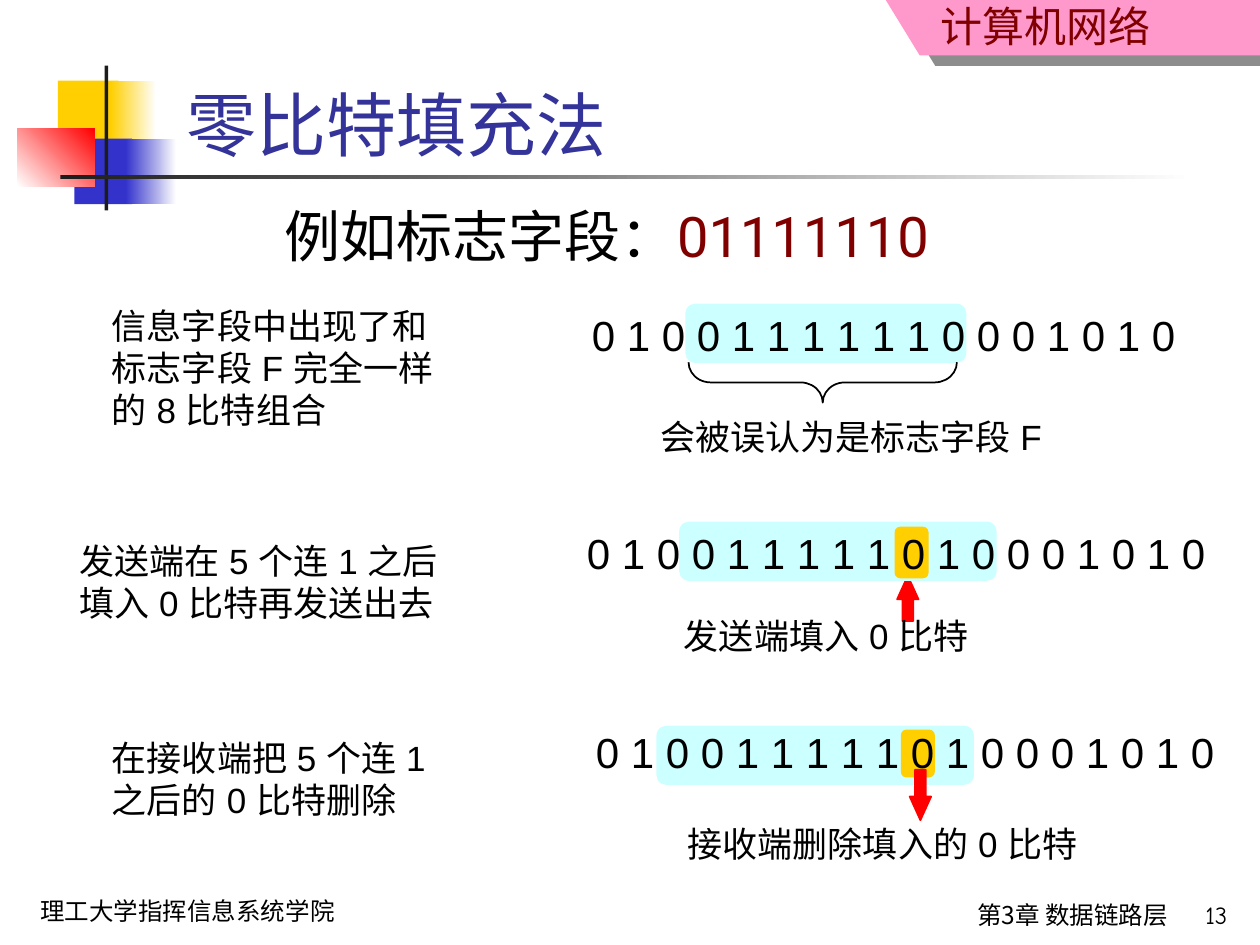
from dataclasses import dataclass

from lxml import etree
from pptx import Presentation
from pptx.dml.color import RGBColor
from pptx.enum.shapes import MSO_SHAPE
from pptx.enum.text import MSO_ANCHOR, MSO_AUTO_SIZE, PP_ALIGN
from pptx.oxml.ns import qn
from pptx.util import Pt

PX = 9144  # 100 px to the inch
RECT, ROUND = MSO_SHAPE.RECTANGLE, MSO_SHAPE.ROUNDED_RECTANGLE
UP, DOWN, BRACE = MSO_SHAPE.UP_ARROW, MSO_SHAPE.DOWN_ARROW, MSO_SHAPE.LEFT_BRACE
LEFT, RIGHT = PP_ALIGN.LEFT, PP_ALIGN.RIGHT


@dataclass(frozen=True)
class Theme:
    black: str = "000000"
    white: str = "FFFFFF"
    dark: str = "1C1C1C"
    title: str = "333399"
    maroon: str = "800000"
    pink: str = "FF99CC"
    gold: str = "FFCF01"
    blue: str = "3333CC"
    red: str = "FF0000"
    cyan: str = "CCFFFF"
    sans: str = "Arial"
    head: str = "Roboto"
    hand: str = "Comic Neue"
    han: str = "Noto Sans CJK SC"
    title_size: int = 40
    lead_size: int = 32
    bit_size: int = 24
    note_size: int = 20
    foot_size: int = 14


T = Theme()


def rgb(code):
    return RGBColor.from_string(code)


def emu(*box):
    return [v * PX for v in box]


def style(run, font, size, color):
    run.font.name, run.font.size = font, Pt(size)
    run.font.color.rgb = rgb(color)
    east = etree.SubElement(run.font._element, qn("a:ea"))
    east.set("typeface", font)


def write(shape, text, font, size, colors, align=LEFT, wrap=True):
    """Fill a shape with text: one paragraph a line, or one run a colour."""
    frame = shape.text_frame
    frame.word_wrap = wrap
    frame.auto_size = MSO_AUTO_SIZE.NONE
    frame.vertical_anchor = MSO_ANCHOR.TOP
    if isinstance(text, str):
        frame.text = text
    else:
        for part in text:
            frame.paragraphs[0].add_run().text = part
    for para in frame.paragraphs:
        para.alignment = align
        para.line_spacing = Pt(size * 1.2)
        for run, color in zip(para.runs, colors):
            style(run, font, size, color)


def label(slide, box, text, font, size, color=T.black, **opts):
    shape = slide.shapes.add_textbox(*emu(*box))
    write(shape, text, font, size, [color], **opts)
    return shape


def block(slide, box, fill, kind=RECT, adj=(), edge=None):
    """Add a plain shape; a pair of fill colours makes a gradient."""
    shape = slide.shapes.add_shape(kind, *emu(*box))
    shape.shadow.inherit = False
    for i, value in enumerate(adj):
        shape.adjustments[i] = value
    if fill is None:
        shape.fill.background()
    elif isinstance(fill, str):
        shape.fill.solid()
        shape.fill.fore_color.rgb = rgb(fill)
    else:
        shape.fill.gradient()
        shape.fill.gradient_angle = 0
        for stop, color in zip(shape.fill.gradient_stops, fill):
            stop.color.rgb = rgb(color)
    if edge:
        shape.line.color.rgb = rgb(edge)
        shape.line.width = Pt(1)
    else:
        shape.line.fill.background()
    return shape


def emblem(slide, x, y):
    block(slide, (x + 32, y + 12, 48, 52), T.gold)
    block(slide, (x + 74, y + 12, 36, 52), (T.gold, T.white))
    block(slide, (x + 45, y + 58, 46, 52), T.blue)
    block(slide, (x + 86, y + 58, 40, 52), (T.blue, T.white))
    glow = block(slide, (x, y + 50, 61, 46), (T.white, T.red))
    glow.fill.gradient_angle = 45
    block(slide, (x + 69, y, 3, 115), T.dark)
    block(slide, (x + 34, y + 87, 900, 3), (T.dark, T.white))


def ribbon(slide, x, y, w, h):
    pen = slide.shapes.build_freeform(x, y, scale=PX)
    pen.add_line_segments([(x + 27, y + h), (x + w, y + h), (x + w, y)])
    shape = pen.convert_to_shape()
    shape.fill.solid()
    shape.fill.fore_color.rgb = rgb(T.pink)
    shape.line.fill.background()
    shape.shadow.inherit = False
    glow = shape._element.spPr.find(qn("a:effectLst"))
    drop = etree.SubElement(glow, qn("a:outerShdw"), blurRad="0",
                            dist=str(Pt(10.8)), dir=str(34 * 60000),
                            algn="ctr", rotWithShape="0")
    tint = etree.SubElement(drop, qn("a:srgbClr"), val=T.dark)
    etree.SubElement(tint, qn("a:alpha"), val="50000")
    name = label(slide, (x - 133, y, 353, 45), "计算机网络", T.han, T.bit_size,
                 T.maroon, align=RIGHT)
    name.text_frame.margin_top = 0


def header(slide, x, y):
    title = slide.shapes.title
    title.left, title.top, title.width, title.height = emu(x, y, 709, 77)
    write(title, "零比特填充法", T.head, T.title_size, [T.title])
    lead = slide.shapes.add_textbox(*emu(x + 78, y + 95, 549, 64))
    write(lead, ("例如标志字段：", "01111110"), T.head, T.lead_size,
          (T.black, T.maroon))


def footer(slide, y):
    label(slide, (22, y - 3, 311, 34), "理工大学指挥信息系统学院", T.hand, T.foot_size)
    label(slide, (429, y, 508, 41), "第3章 数据链路层", T.han, T.foot_size, align=RIGHT)
    label(slide, (905, y, 79, 38), "13", T.hand, T.foot_size, align=RIGHT)


def case(slide, y, note, bits, band, tip, chip=None):
    """Place one step; every part is a box from (0, y), with its text if any."""
    def at(box):
        return box[0], y + box[1], box[2], box[3]

    block(slide, at(band), T.cyan, ROUND, [0.167])
    if chip:
        block(slide, at(chip), T.gold, ROUND, [0.167])
    parts = ((note, T.note_size), (bits, T.bit_size), (tip, T.note_size))
    for (box, text), size in parts:
        label(slide, at(box), text, T.sans, size, wrap=False)


def arrow(slide, box, kind):
    block(slide, box, T.red, kind, (0.5, 1.1), T.red)


def main():
    deck = Presentation()
    deck.slide_width, deck.slide_height = emu(1000, 750)
    slide = deck.slides.add_slide(deck.slide_layouts[5])
    emblem(slide, 14, 52)
    ribbon(slide, 703, 0, 297, 44)
    header(slide, 138, 60)
    footer(slide, 709)

    stuffed = "0 1 0 0 1 1 1 1 1 0 1 0 0 0 1 0 1 0"
    case(slide, 241,
         ((79, -4, 287, 110), "信息字段中出现了和\n标志字段 F 完全一样\n的 8 比特组合"),
         ((460, 0, 483, 50), "0 1 0 0 1 1 1 1 1 1 0 0 0 1 0 1 0"),
         (544, 0, 223, 47),
         ((514, 84, 336, 43), "会被误认为是标志字段 F"))
    brace = block(slide, (637, 197, 32, 213), None, BRACE, (0.55, 0.5), T.black)
    brace.rotation = 270

    arrow(slide, (712, 457, 17, 36), UP)
    case(slide, 414,
         ((53, 9, 328, 76), "发送端在 5 个连 1 之后\n填入 0 比特再发送出去"),
         ((456, 0, 511, 50), stuffed),
         (539, 0, 252, 47),
         ((533, 69, 257, 43), "发送端填入 0 比特"),
         (710, 4, 27, 41))

    case(slide, 572,
         ((79, 8, 286, 76), "在接收端把 5 个连 1\n之后的 0 比特删除"),
         ((463, 0, 511, 50), stuffed),
         (521, 4, 252, 47),
         ((536, 76, 341, 43), "接收端删除填入的 0 比特"),
         (715, 7, 27, 38))
    arrow(slide, (722, 611, 17, 40), DOWN)
    deck.save("out.pptx")


if __name__ == "__main__":
    main()
